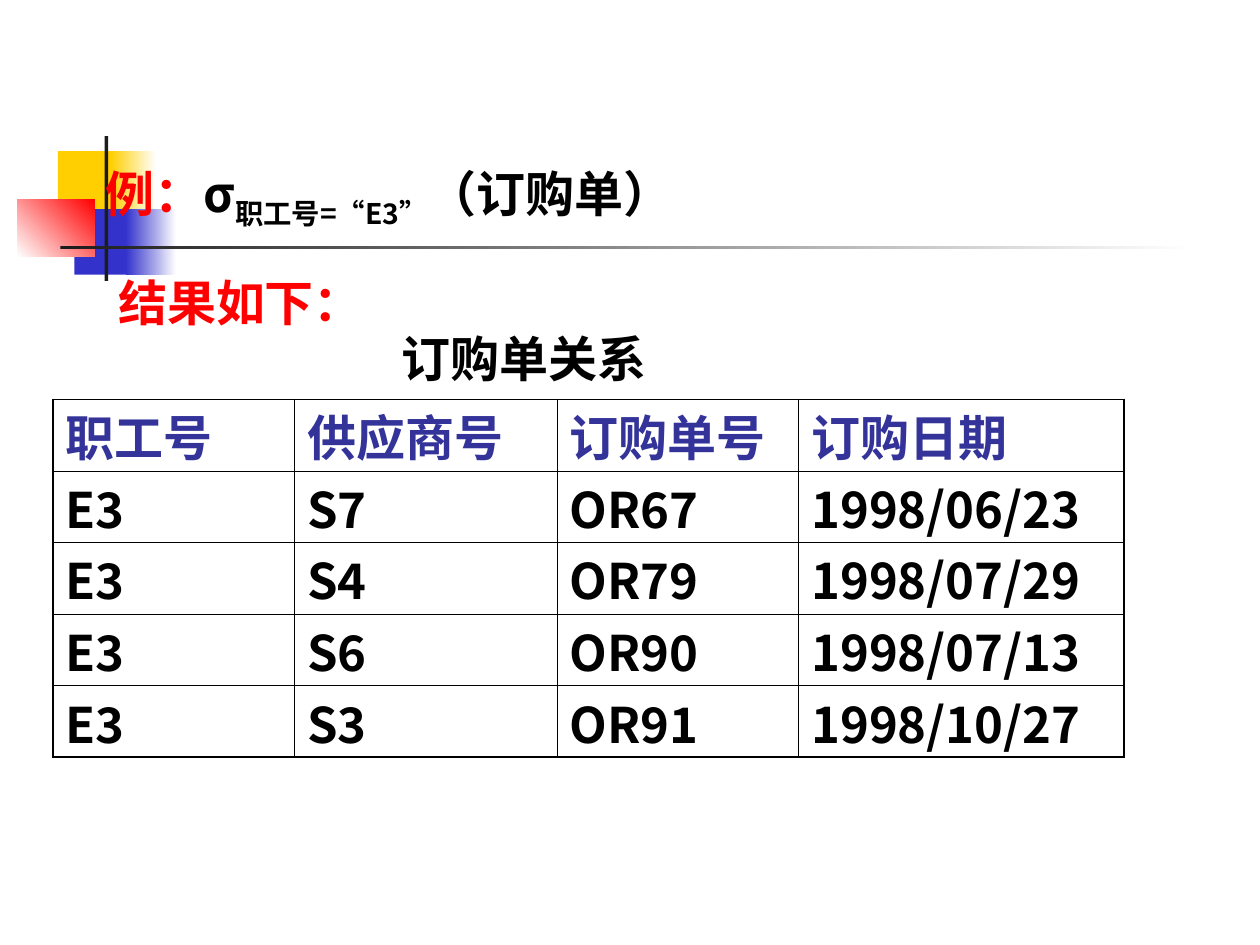
"""Build the slide on selecting purchase orders by employee number."""
from dataclasses import dataclass

import pptx
import pptx.dml.color
import pptx.enum.shapes
import pptx.enum.text
import pptx.oxml
import pptx.oxml.ns
import pptx.util
from pptx.util import Inches

HUES = {
    "gold": "FFCF01",
    "blue": "3333CC",
    "red": "FF0000",
    "dark": "1C1C1C",
    "navy": "333399",
    "black": "000000",
    "white": "FFFFFF",
}
SANS = "Noto Sans CJK SC"
SERIF = "Times New Roman"
THICK, THIN = 1.08, 0.45


@dataclass
class Block:
    left: float
    top: float
    width: float
    height: float
    start: str
    end: str = ""
    angle: float = 0


@dataclass
class Label:
    left: float
    top: float
    width: float
    height: float
    runs: list
    font: str = SERIF
    inset: float = 0.1


BLOCKS = [
    Block(0.46, 1.2, 0.48, 0.52, "gold"),
    Block(0.88, 1.2, 0.36, 0.52, "gold", "white"),
    Block(0.59, 1.66, 0.46, 0.52, "blue"),
    Block(1, 1.66, 0.4, 0.52, "blue", "white"),
    Block(0.14, 1.58, 0.61, 0.46, "white", "red", 45),
    Block(0.83, 1.08, 0.03, 1.15, "dark"),
    Block(0.48, 1.95, 9, 0.03, "dark", "white"),
]
LABELS = [
    Label(3.09, 2.56, 2.14, 0.57, [("订购单关系", "black", 0)]),
    Label(0.57, 1.25, 5.53, 0.63, [
        ("例：", "red", 0),
        ("σ", "black", 0),
        ("职工号=“E3”", "black", -25),
        ("（订购单）", "black", 0),
    ], SANS, 0.27),
    Label(0.84, 2.11, 2.14, 0.57, [("结果如下：", "red", 0)]),
]
ROWS = [
    ("职工号", "供应商号", "订购单号", "订购日期"),
    ("E3", "S7", "OR67", "1998/06/23"),
    ("E3", "S4", "OR79", "1998/07/29"),
    ("E3", "S6", "OR90", "1998/07/13"),
    ("E3", "S3", "OR91", "1998/10/27"),
]
COLS = (1.92, 2.08, 1.92, 2.58)


def tint(name: str) -> pptx.dml.color.RGBColor:
    """Return the named colour."""
    return pptx.dml.color.RGBColor.from_string(HUES[name])


def write(para, text: str, *, hue: str, font: str = SANS, size: float = 28, base: int = 0) -> None:
    """Add one bold run with its format."""
    run = para.add_run()
    run.text = text
    run.font.size = pptx.util.Pt(size)
    run.font.bold = True
    run.font.name = font
    run.font.color.rgb = tint(hue)
    props = run.font._element
    face = pptx.oxml.parse_xml(f'<a:ea {pptx.oxml.ns.nsdecls("a")} typeface="{SANS}"/>')
    props.find(pptx.oxml.ns.qn("a:latin")).addnext(face)
    if base:
        props.set("baseline", str(base * 1000))


def draw(slide, block: Block) -> None:
    """Draw a plain or fading rectangle."""
    shape = slide.shapes.add_shape(
        pptx.enum.shapes.MSO_SHAPE.RECTANGLE,
        Inches(block.left), Inches(block.top), Inches(block.width), Inches(block.height),
    )
    shape.shadow.inherit = False
    shape.line.fill.background()
    if not block.end:
        shape.fill.solid()
        shape.fill.fore_color.rgb = tint(block.start)
        return
    shape.fill.gradient()
    shape.fill.gradient_angle = block.angle
    for stop, hue in zip(shape.fill.gradient_stops, (block.start, block.end)):
        stop.color.rgb = tint(hue)


def place(slide, label: Label) -> None:
    """Place a line of text."""
    box = slide.shapes.add_textbox(
        Inches(label.left), Inches(label.top), Inches(label.width), Inches(label.height)
    )
    frame = box.text_frame
    frame.word_wrap = False
    frame.auto_size = pptx.enum.text.MSO_AUTO_SIZE.SHAPE_TO_FIT_TEXT
    frame.margin_left = Inches(label.inset)
    for text, hue, base in label.runs:
        write(frame.paragraphs[0], text, hue=hue, font=label.font, base=base)


def edge(cell, outer: dict[str, bool]) -> None:
    """Rule the four sides of a cell, thicker on the outside."""
    props = cell._tc.get_or_add_tcPr()
    for spot, (side, thick) in enumerate(outer.items()):
        width = pptx.util.Pt(THICK if thick else THIN)
        props.insert(spot, pptx.oxml.parse_xml(
            f'<a:{side} {pptx.oxml.ns.nsdecls("a")} w="{width}"><a:solidFill>'
            f'<a:srgbClr val="{HUES["black"]}"/></a:solidFill></a:{side}>'
        ))


def tabulate(slide) -> None:
    """Draw the table of orders."""
    table = slide.shapes.add_table(
        len(ROWS), len(COLS), Inches(0.42), Inches(3.17), Inches(sum(COLS)), Inches(2.84)
    ).table
    table.first_row = table.horz_banding = False
    for col, width in zip(table.columns, COLS):
        col.width = Inches(width)
    for r, row in enumerate(ROWS):
        for c, text in enumerate(row):
            cell = table.cell(r, c)
            cell.fill.background()
            cell.margin_top = cell.margin_bottom = 0
            cell.vertical_anchor = pptx.enum.text.MSO_ANCHOR.BOTTOM
            write(cell.text_frame.paragraphs[0], text, hue="black" if r else "navy")
            edge(cell, {
                "lnL": c == 0,
                "lnR": c == len(COLS) - 1,
                "lnT": r == 0,
                "lnB": r == len(ROWS) - 1,
            })


def main() -> None:
    """Build and save the slide."""
    deck = pptx.Presentation()
    deck.slide_width, deck.slide_height = Inches(10), Inches(7.5)
    slide = deck.slides.add_slide(deck.slide_layouts[6])
    for block in BLOCKS:
        draw(slide, block)
    tabulate(slide)
    for label in LABELS:
        place(slide, label)
    deck.save("out.pptx")


if __name__ == "__main__":
    main()
